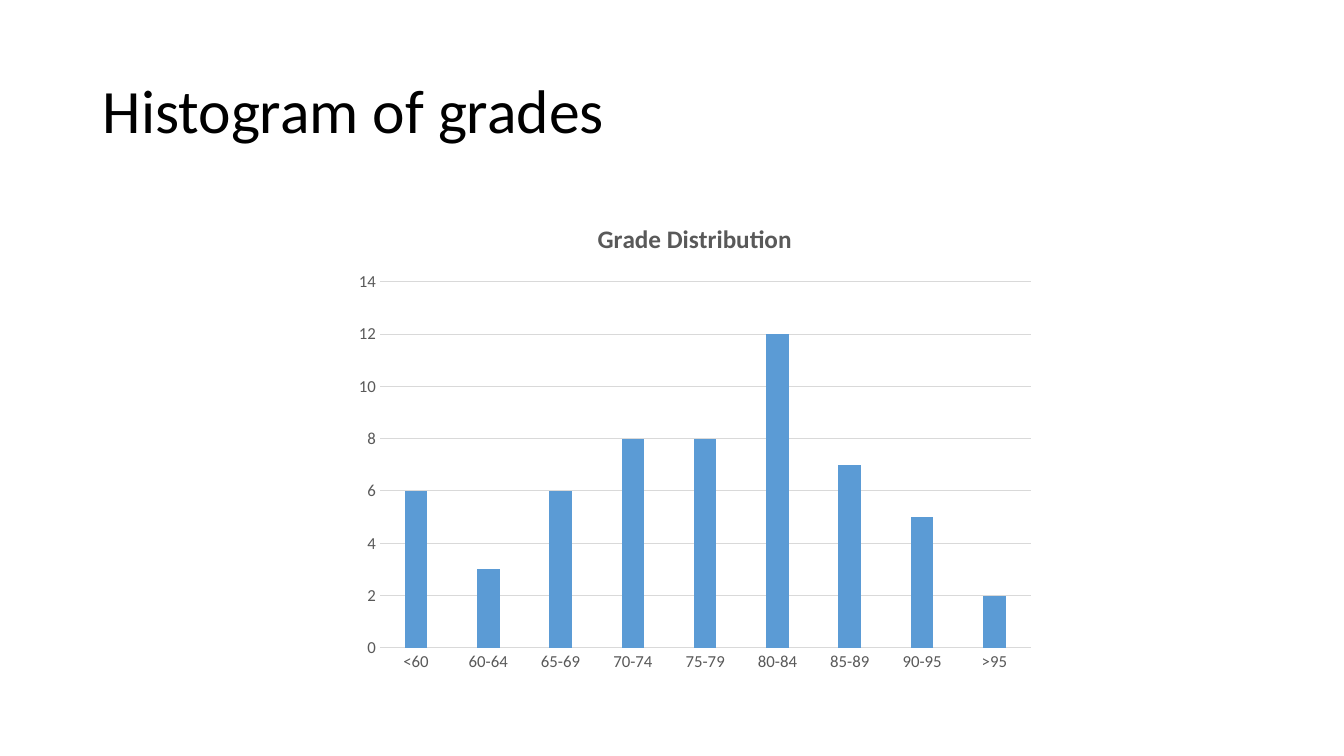
from typing import NamedTuple

from pptx import Presentation
from pptx.chart.data import CategoryChartData
from pptx.dml.color import RGBColor
from pptx.enum.chart import XL_CHART_TYPE, XL_TICK_MARK
from pptx.enum.text import MSO_ANCHOR
from pptx.util import Inches, Pt

COLUMNS = XL_CHART_TYPE.COLUMN_CLUSTERED
NO_TICK = XL_TICK_MARK.NONE
MIDDLE = MSO_ANCHOR.MIDDLE

FONT = "Calibri"
BLACK = "000000"
LABEL_GRAY = "595959"
RULE_GRAY = "D9D9D9"
BAR_BLUE = "5B9BD5"


class GradeBand(NamedTuple):
    label: str
    students: int


GRADE_BANDS = [
    GradeBand("<60", 6),
    GradeBand("60-64", 3),
    GradeBand("65-69", 6),
    GradeBand("70-74", 8),
    GradeBand("75-79", 8),
    GradeBand("80-84", 12),
    GradeBand("85-89", 7),
    GradeBand("90-95", 5),
    GradeBand(">95", 2),
]


def rgb(color: str) -> RGBColor:
    return RGBColor.from_string(color)


def style_font(font, size: float, color: str, bold: bool = False) -> None:
    font.name = FONT
    font.size = Pt(size)
    font.bold = bold
    font.color.rgb = rgb(color)


def style_rule(line) -> None:
    line.color.rgb = rgb(RULE_GRAY)
    line.width = Pt(0.75)


def style_axis(axis) -> None:
    axis.major_tick_mark = NO_TICK
    axis.minor_tick_mark = NO_TICK
    style_font(axis.tick_labels.font, 12, LABEL_GRAY)


def add_heading(slide, text: str) -> None:
    heading = slide.shapes.add_textbox(
        Inches(0.92), Inches(0.4), Inches(11.5), Inches(1.45)
    )
    frame = heading.text_frame
    frame.word_wrap = True
    frame.vertical_anchor = MIDDLE
    frame.text = text
    paragraph = frame.paragraphs[0]
    paragraph.line_spacing = 0.9
    style_font(paragraph.runs[0].font, 44, BLACK)


def add_histogram(slide, title: str, bands: list[GradeBand]) -> None:
    grades = CategoryChartData()
    grades.categories = [band.label for band in bands]
    grades.add_series("Series 1", [band.students for band in bands])
    chart = slide.shapes.add_chart(
        COLUMNS, Inches(3.42), Inches(2), Inches(6.94), Inches(4.76), grades
    ).chart
    style_font(chart.font, 10, BLACK)
    chart.has_legend = False

    chart.has_title = True
    title_frame = chart.chart_title.text_frame
    title_frame.text = title
    style_font(title_frame.paragraphs[0].runs[0].font, 18, LABEL_GRAY, bold=True)
    chart.chart_title.include_in_layout = False

    style_axis(chart.category_axis)
    style_rule(chart.category_axis.format.line)

    count_axis = chart.value_axis
    style_axis(count_axis)
    count_axis.minimum_scale = 0
    count_axis.maximum_scale = 14
    count_axis.major_unit = 2
    count_axis.format.line.fill.background()
    style_rule(count_axis.major_gridlines.format.line)

    bars = chart.plots[0]
    bars.vary_by_categories = False
    bars.gap_width = 219
    bars.overlap = -27
    bar_fill = bars.series[0].format.fill
    bar_fill.solid()
    bar_fill.fore_color.rgb = rgb(BAR_BLUE)


presentation = Presentation()
presentation.slide_width = Inches(13.33)
presentation.slide_height = Inches(7.5)
grades_slide = presentation.slides.add_slide(presentation.slide_layouts[6])
add_heading(grades_slide, "Histogram of grades")
add_histogram(grades_slide, "Grade Distribution", GRADE_BANDS)
presentation.save("out.pptx")
